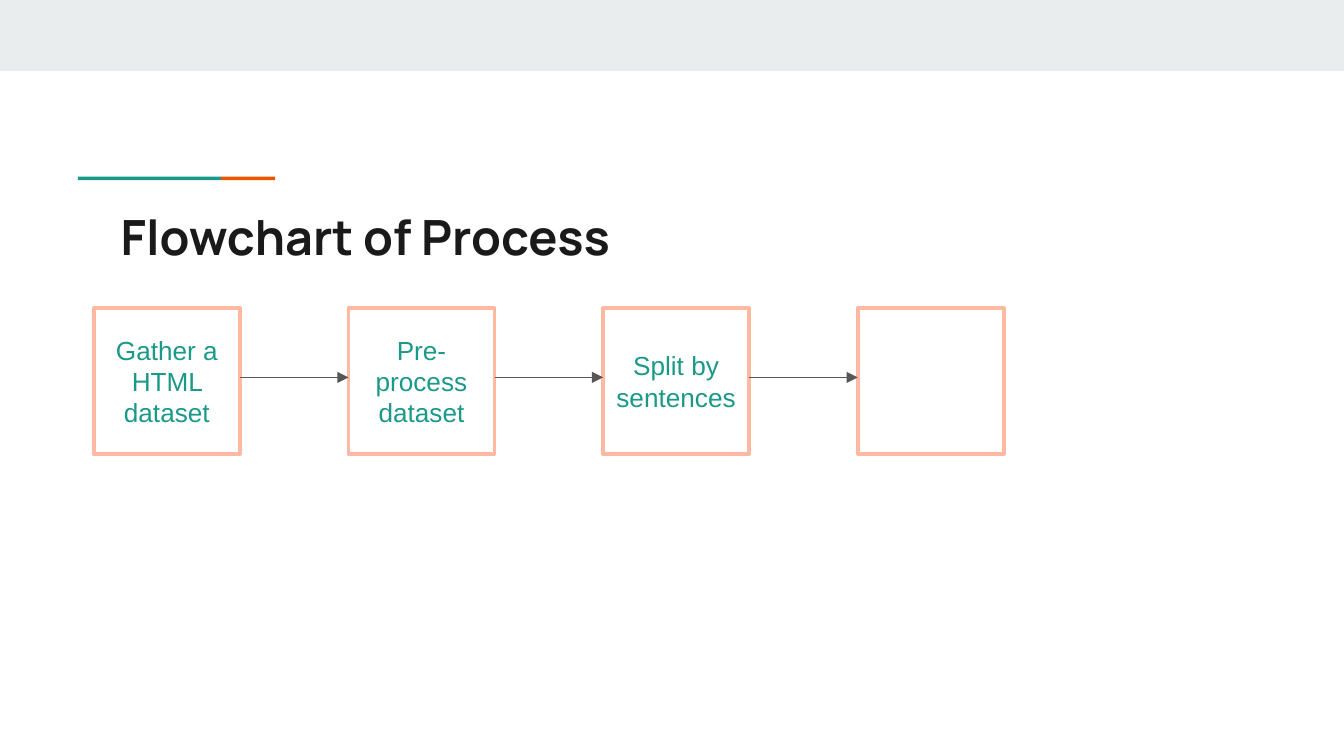
from lxml.etree import SubElement
from pptx import Presentation
from pptx.dml.color import RGBColor
from pptx.enum.shapes import MSO_CONNECTOR, MSO_SHAPE
from pptx.enum.text import MSO_ANCHOR, PP_ALIGN
from pptx.oxml.ns import qn
from pptx.util import Pt

TEAL = RGBColor(0x1A, 0x99, 0x88)
ORANGE = RGBColor(0xEB, 0x56, 0x00)
PEACH = RGBColor(0xFF, 0xB8, 0xA2)
GREY = RGBColor(0x57, 0x57, 0x57)
PALE = RGBColor(0xE9, 0xED, 0xEE)
INK = RGBColor(0x1A, 0x1A, 0x1A)
WHITE = RGBColor(0xFF, 0xFF, 0xFF)

TITLE = "Flowchart of Process"
STEPS = ["Gather a HTML dataset", "Pre-process dataset", "Split by sentences", ""]
BARS = [
    (0, 0, 720, 38.2, PALE),
    (41.8, 94.7, 76.6, 1.8, TEAL),
    (118.4, 94.7, 29, 1.8, ORANGE),
]
LEFT, TOP, SIDE, PITCH = 50.3, 165, 78.3, 136.4
FLOW = 202.2


def add_rect(left, top, width, height, fill):
    rect = slide.shapes.add_shape(
        MSO_SHAPE.RECTANGLE, Pt(left), Pt(top), Pt(width), Pt(height))
    rect.shadow.inherit = False
    rect.fill.solid()
    rect.fill.fore_color.rgb = fill
    rect.line.fill.background()
    return rect


def set_text(shape, text, font, size, color, bold=False, inset=7.2):
    frame = shape.text_frame
    frame.word_wrap = True
    frame.margin_left = frame.margin_right = Pt(inset)
    frame.margin_top = frame.margin_bottom = Pt(inset)
    frame.text = text
    for run in frame.paragraphs[0].runs:
        run.font.name = font
        run.font.size = Pt(size)
        run.font.bold = bold
        run.font.color.rgb = color
    return frame


def add_step(left, text):
    box = add_rect(left, TOP, SIDE, SIDE, WHITE)
    box.line.color.rgb = PEACH
    box.line.width = Pt(2)
    SubElement(box.line._get_or_add_ln(), qn("a:round"))
    if text:
        frame = set_text(box, text, "Arial", 14, TEAL, inset=6.5)
        frame.vertical_anchor = MSO_ANCHOR.MIDDLE
        frame.paragraphs[0].alignment = PP_ALIGN.CENTER


def add_arrow(start, end):
    arrow = slide.shapes.add_connector(
        MSO_CONNECTOR.STRAIGHT, Pt(start), Pt(FLOW), Pt(end), Pt(FLOW))
    arrow.line.color.rgb = GREY
    arrow.line.width = Pt(0.75)
    SubElement(arrow.line._get_or_add_ln(), qn("a:tailEnd"), type="triangle")
    SubElement(arrow._element.spPr, qn("a:effectLst"))


deck = Presentation()
deck.slide_width, deck.slide_height = Pt(720), Pt(405)
slide = deck.slides.add_slide(deck.slide_layouts[6])

for bar in BARS:
    add_rect(*bar)

title = slide.shapes.add_textbox(Pt(57.6), Pt(103.7), Pt(605.5), Pt(42.5))
set_text(title, TITLE, "Manrope", 26, INK, bold=True)

for i, step in enumerate(STEPS):
    left = LEFT + i * PITCH
    add_step(left, step)
    if i:
        add_arrow(left - PITCH + SIDE, left)

deck.save("out.pptx")
